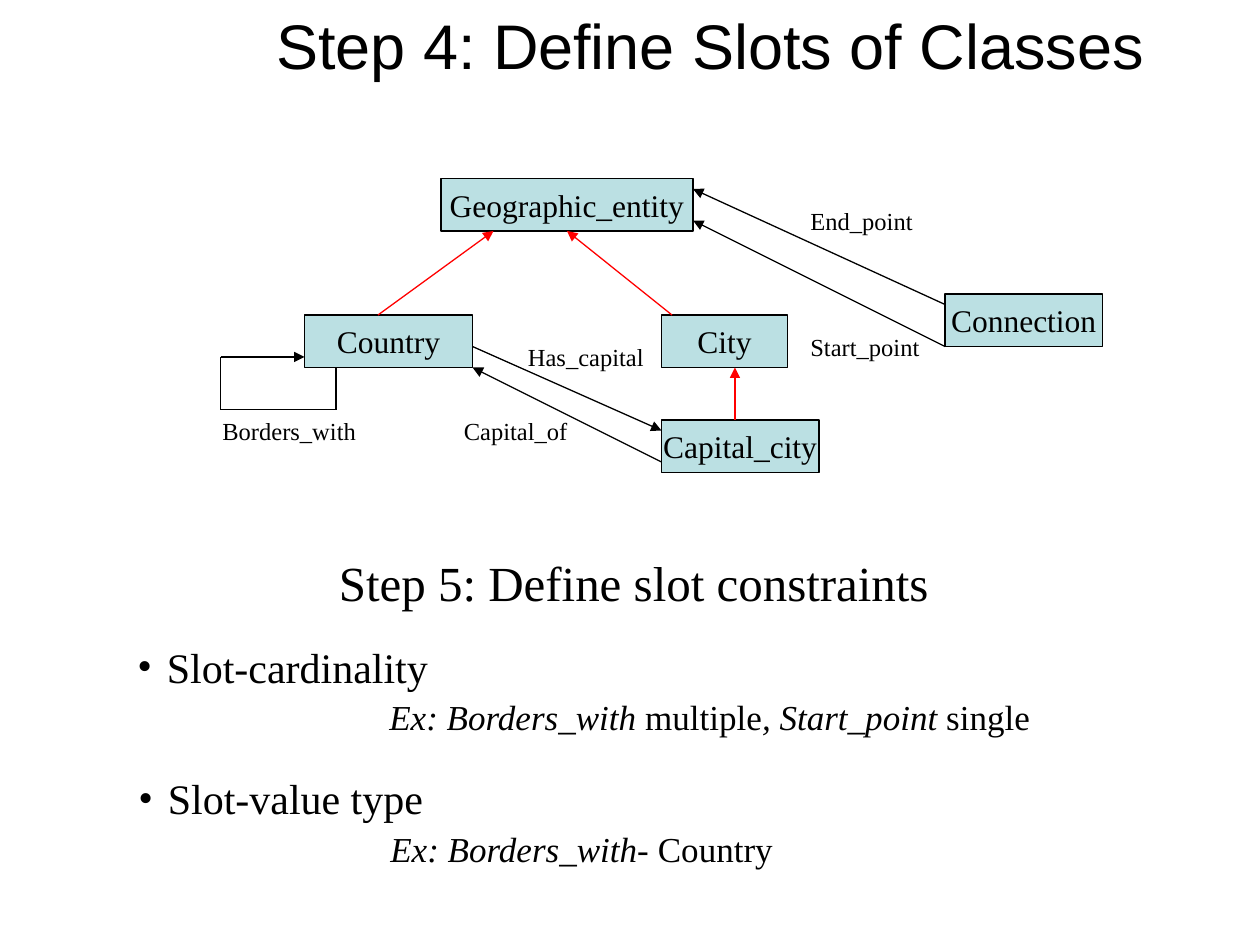
from lxml import etree
from pptx import Presentation
from pptx.dml.color import RGBColor
from pptx.enum.shapes import MSO_CONNECTOR, MSO_SHAPE
from pptx.enum.text import MSO_ANCHOR, PP_ALIGN
from pptx.oxml.ns import qn
from pptx.util import Pt

STRAIGHT = MSO_CONNECTOR.STRAIGHT
RECTANGLE = MSO_SHAPE.RECTANGLE
LEFT, CENTER = PP_ALIGN.LEFT, PP_ALIGN.CENTER
TOP, MIDDLE = MSO_ANCHOR.TOP, MSO_ANCHOR.MIDDLE

TITLE_ONLY = 5
PX = 7620  # EMU in one px, 120 px to the inch
SANS, SERIF = "Arial", "Times New Roman"
BLACK, RED, PALE_BLUE = "000000", "FF0000", "BBE0E3"
NODE_HEIGHT, LABEL_HEIGHT = 50, 41

# Class diagram, relative to its box: name, left, top, width
NODES = [
    ("Geographic_entity", 220, 0, 240),
    ("Country", 90, 130, 160),
    ("City", 430, 130, 120),
    ("Connection", 700, 110, 150),
    ("Capital_city", 430, 230, 150),
]
# Slot name, left, top, width
LABELS = [
    ("Has_capital", 291, 150, 134),
    ("Capital_of", 230, 220, 122),
    ("Borders_with", 0, 220, 151),
    ("Start_point", 560, 140, 127),
    ("End_point", 560, 20, 121),
]
# Colour and corner points; the last leg carries the arrowhead
ARROWS = [
    (RED, [(160, 130), (270, 50)]),
    (RED, [(440, 130), (340, 50)]),
    (RED, [(500, 230), (500, 180)]),
    (BLACK, [(250, 160), (430, 240)]),
    (BLACK, [(430, 270), (250, 180)]),
    (BLACK, [(700, 120), (460, 10)]),
    (BLACK, [(700, 160), (460, 40)]),
    (BLACK, [(120, 180), (120, 220), (10, 220), (10, 170), (90, 170)]),
]


def color(value):
    return RGBColor.from_string(value)


def emu(*lengths):
    return [length * PX for length in lengths]


def add_span(para, text, size, font=SERIF, italic=False):
    span = para.add_run()
    span.text = text
    span.font.name = font
    span.font.size = Pt(size)
    span.font.italic = italic
    span.font.color.rgb = color(BLACK)


def set_frame(frame, align=LEFT, anchor=TOP):
    frame.word_wrap = False
    frame.vertical_anchor = anchor
    if align == LEFT:
        frame.margin_right = 0  # keeps tight text on one line
    para = frame.paragraphs[0]
    para.alignment = align
    return para


def add_text(shapes, box, text, size):
    label = shapes.add_textbox(*emu(*box))
    add_span(set_frame(label.text_frame), text, size)


def add_node(shapes, box, name):
    node = shapes.add_shape(RECTANGLE, *emu(*box))
    node.shadow.inherit = False
    node.fill.solid()
    node.fill.fore_color.rgb = color(PALE_BLUE)
    node.line.color.rgb = color(BLACK)
    node.line.width = Pt(0.75)
    add_span(set_frame(node.text_frame, CENTER, MIDDLE), name, 18)


def add_line(shapes, start, end, line_color, arrow):
    line = shapes.add_connector(STRAIGHT, *emu(*start, *end))
    line.line.color.rgb = color(line_color)
    line.line.width = Pt(0.75)
    properties = line.element.spPr
    if arrow:
        outline = properties.find(qn("a:ln"))
        etree.SubElement(outline, qn("a:tailEnd"), type="triangle")
    etree.SubElement(properties, qn("a:effectLst"))


def add_title(page, box, text):
    title = page.shapes.title
    title.left, title.top, title.width, title.height = emu(*box)
    add_span(set_frame(title.text_frame), text, 36, SANS)


def add_diagram(page, left, top):
    shapes = page.shapes.add_group_shape().shapes
    for name, x, y, width in NODES:
        add_node(shapes, (left + x, top + y, width, NODE_HEIGHT), name)
    for line_color, points in ARROWS:
        corners = [(left + x, top + y) for x, y in points]
        for start, end in zip(corners, corners[1:]):
            add_line(shapes, start, end, line_color, end == corners[-1])
    for name, x, y, width in LABELS:
        add_text(shapes, (left + x, top + y, width, LABEL_HEIGHT), name, 14)


def set_indent(para, margin, first_line):
    properties = para._p.get_or_add_pPr()
    properties.set("marL", str(margin * PX))
    properties.set("indent", str(first_line * PX))
    return properties


def add_constraint(page, box, heading, example, spacing):
    """Bulleted heading with an indented example of (text, italic) spans."""
    frame = page.shapes.add_textbox(*emu(*box)).text_frame
    para = set_frame(frame)
    para.line_spacing = spacing
    properties = set_indent(para, 28, -28)
    bullet_color = etree.SubElement(properties, qn("a:buClr"))
    etree.SubElement(bullet_color, qn("a:srgbClr"), val=BLACK)
    etree.SubElement(properties, qn("a:buFont"), typeface=SERIF)
    etree.SubElement(properties, qn("a:buChar"), char="•")
    add_span(para, heading, 24)

    para = frame.add_paragraph()
    para.alignment = LEFT
    para.line_spacing = 1.1
    set_indent(para, 240, 0)
    for text, italic in example:
        add_span(para, text, 20, italic=italic)


def main():
    deck = Presentation()
    deck.slide_width, deck.slide_height = emu(1200, 900)
    page = deck.slides.add_slide(deck.slide_layouts[TITLE_ONLY])

    add_title(page, (251, 0, 851, 84), "Step 4: Define Slots of Classes")
    add_diagram(page, 200, 170)
    add_text(page.shapes, (311, 520, 586, 68), "Step 5: Define slot constraints", 28)
    add_constraint(page, (119, 600, 875, 109), "Slot-cardinality", [
        ("Ex: Borders_with ", True), ("multiple", False),
        (", Start_point ", True), ("single", False)], 1.1)
    add_constraint(page, (120, 730, 629, 104), "Slot-value type", [
        ("Ex: Borders_with- ", True), ("Country", False)], 1.0)

    deck.save("out.pptx")


if __name__ == "__main__":
    main()
